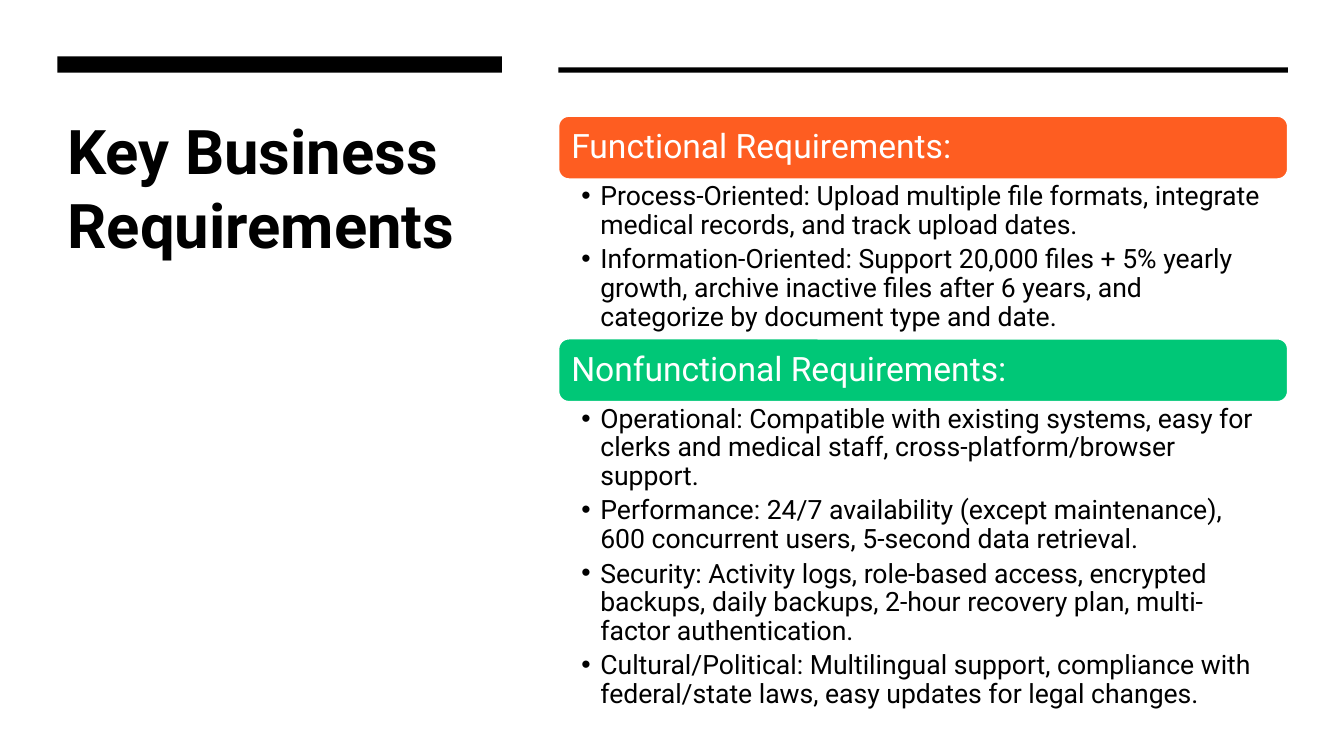
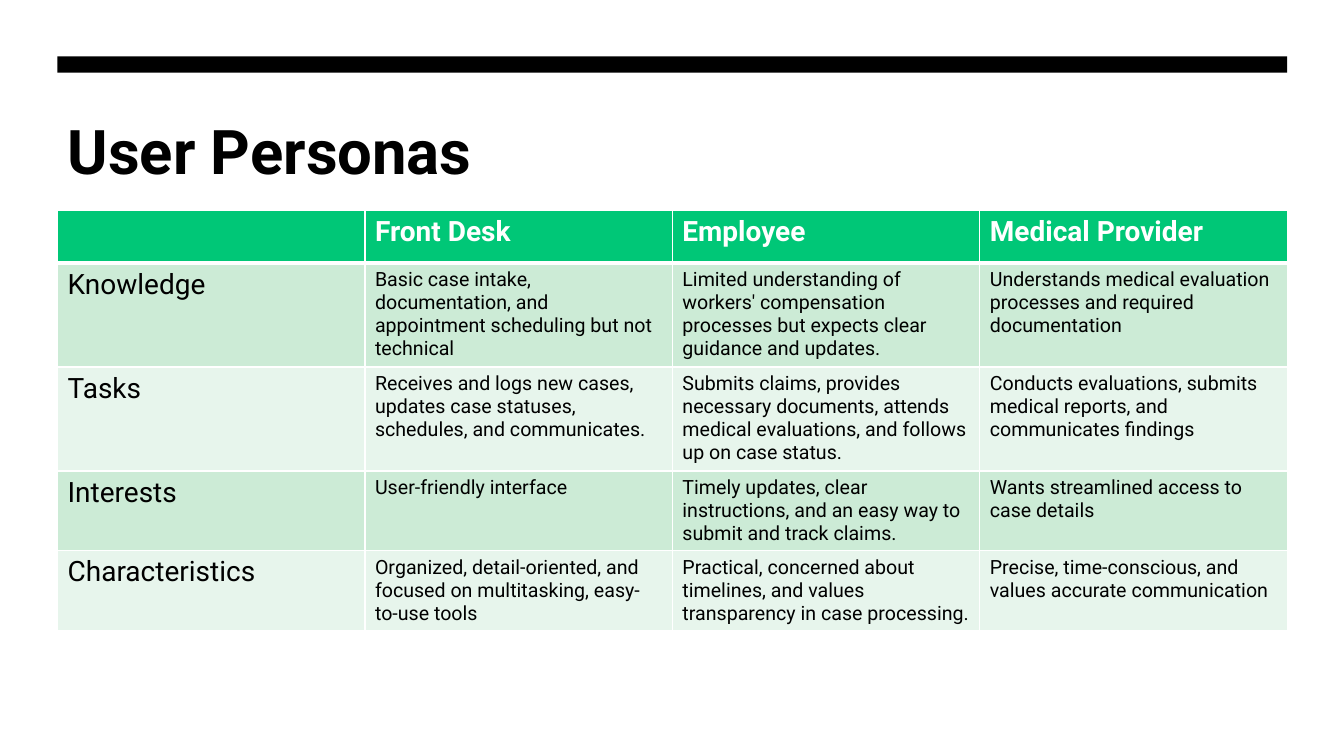
from pptx import Presentation
from pptx.dml.color import RGBColor
from pptx.enum.shapes import MSO_SHAPE
from pptx.enum.text import MSO_ANCHOR, MSO_AUTO_SIZE, PP_ALIGN
from pptx.oxml import parse_xml
from pptx.oxml.ns import nsdecls
from pptx.util import Cm, Pt

COLORS = {"black": "000000", "white": "FFFFFF", "orange": "FE5D21",
          "green": "00C777", "band": "CCEBD6", "pale": "E7F5EC"}
RGB = {name: RGBColor.from_string(value) for name, value in COLORS.items()}
LEFT, TOP, BAR = 1.45, 1.42, 0.41

prs = Presentation()
prs.slide_width, prs.slide_height = Cm(33.87), Cm(19.05)


def style(p, size, color="black", bold=False):
    p.alignment = PP_ALIGN.LEFT
    p.font.name, p.font.size, p.font.bold = "Roboto", Pt(size), bold
    p.font.color.rgb = RGB[color]


def add_slide(layout, title, title_box, bars):
    s = prs.slides.add_slide(prs.slide_layouts[layout])
    for x, y, w, h in bars:
        bar = s.shapes.add_shape(MSO_SHAPE.RECTANGLE, Cm(x), Cm(y), Cm(w), Cm(h))
        bar.shadow.inherit = False
        bar.fill.solid()
        bar.fill.fore_color.rgb = RGB["black"]
        bar.line.fill.background()
    sp = s.shapes.title
    sp.left, sp.top, sp.width, sp.height = [Cm(v) for v in title_box]
    tf = sp.text_frame
    tf.text = title
    tf.auto_size, tf.vertical_anchor = MSO_AUTO_SIZE.NONE, MSO_ANCHOR.TOP
    style(tf.paragraphs[0], 44, bold=True)
    return s


# Slide 1: requirements
X, W, HEAD = 14.07, 18.39, 1.6
s = add_slide(3, "Key Business Requirements", (LEFT, 2.72, 11.2, 9.35),
              [(LEFT, TOP, 11.2, BAR), (X, 1.7, W, 0.13)])
groups = [
    ("Functional Requirements:", "orange", 4.01, [
        "Process-Oriented: Upload multiple file formats, integrate medical records, and track upload dates.",
        "Information-Oriented: Support 20,000 files + 5% yearly growth, archive inactive files after 6 years, "
        "and categorize by document type and date."]),
    ("Nonfunctional Requirements:", "green", 7.32, [
        "Operational: Compatible with existing systems, easy for clerks and medical staff, "
        "cross-platform/browser support.",
        "Performance: 24/7 availability (except maintenance), 600 concurrent users, 5-second data retrieval.",
        "Security: Activity logs, role-based access, encrypted backups, daily backups, 2-hour recovery plan, "
        "multi-factor authentication.",
        "Cultural/Political: Multilingual support, compliance with federal/state laws, "
        "easy updates for legal changes."]),
]
y = 2.92
for idx, (heading, color, list_h, items) in enumerate(groups, start=1):
    # Coloured heading
    sp = s.shapes.add_shape(MSO_SHAPE.ROUNDED_RECTANGLE, Cm(X), Cm(y), Cm(W), Cm(HEAD))
    sp.shadow.inherit = False
    sp.fill.solid()
    sp.fill.fore_color.rgb = RGB[color]
    sp.line.color.rgb, sp.line.width = RGB["white"], Pt(1.5)
    tf = sp.text_frame
    tf.text = heading
    tf.margin_left, tf.vertical_anchor = Cm(0.25), MSO_ANCHOR.MIDDLE
    tf.paragraphs[0].line_spacing = 0.9
    style(tf.paragraphs[0], 24, "white")

    # Bulleted list
    sp = s.placeholders[idx]
    sp.left, sp.top, sp.width, sp.height = Cm(X), Cm(y + HEAD), Cm(W), Cm(list_h)
    tf = sp.text_frame
    tf.text = "\n".join(items)
    tf.auto_size, tf.vertical_anchor = MSO_AUTO_SIZE.NONE, MSO_ANCHOR.TOP
    tf.margin_left, tf.margin_right = Cm(0.58), Cm(0.48)
    tf.margin_top = tf.margin_bottom = Cm(0.08)
    for p in tf.paragraphs:
        pPr = p._p.get_or_add_pPr()
        pPr.set("marL", str(Cm(0.48)))
        pPr.set("indent", str(-Cm(0.48)))
        p.line_spacing, p.space_before, p.space_after = 0.9, Pt(0), Pt(4)
        style(p, 19)
    y += HEAD + list_h

# Slide 2: personas
W = 30.99
s = add_slide(5, "User Personas", (LEFT, 2.72, 31.42, 2.59), [(LEFT, TOP, W, BAR)])
rows = [
    ("", "Front Desk", "Employee", "Medical Provider"),
    ("Knowledge",
     "Basic case intake, documentation, and appointment scheduling but not technical",
     "Limited understanding of workers' compensation processes but expects clear guidance and updates.",
     "Understands medical evaluation processes and required documentation"),
    ("Tasks",
     "Receives and logs new cases, updates case statuses, schedules, and communicates.",
     "Submits claims, provides necessary documents, attends medical evaluations, and follows up on case status.",
     "Conducts evaluations, submits medical reports, and communicates findings"),
    ("Interests",
     "User-friendly interface",
     "Timely updates, clear instructions, and an easy way to submit and track claims.",
     "Wants streamlined access to case details"),
    ("Characteristics",
     "Organized, detail-oriented, and focused on multitasking, easy-to-use tools",
     "Practical, concerned about timelines, and values transparency in case processing.",
     "Precise, time-conscious, and values accurate communication"),
]
heights = [1.32, 2.62, 2.62, 2.01, 2.01]
table = s.shapes.add_table(len(rows), 4, Cm(LEFT), Cm(5.31), Cm(W), Cm(sum(heights))).table
for i, (row, height) in enumerate(zip(rows, heights)):
    table.rows[i].height = Cm(height)
    fill = "green" if i == 0 else "band" if i % 2 else "pale"
    for j, text in enumerate(row):
        cell = table.cell(i, j)
        # White borders, thicker under the header
        tcPr = cell._tc.get_or_add_tcPr()
        for side in "LRTB":
            width = Pt(3 if (i, side) in [(0, "B"), (1, "T")] else 1)
            tcPr.append(parse_xml(
                f'<a:ln{side} {nsdecls("a")} w="{width}"><a:solidFill>'
                f'<a:srgbClr val="{COLORS["white"]}"/></a:solidFill></a:ln{side}>'))
        cell.fill.solid()
        cell.fill.fore_color.rgb = RGB[fill]
        cell.text = text
        style(cell.text_frame.paragraphs[0], 20 if i == 0 or j == 0 else 14,
              "white" if i == 0 else "black", bold=i == 0)

prs.save("out.pptx")
